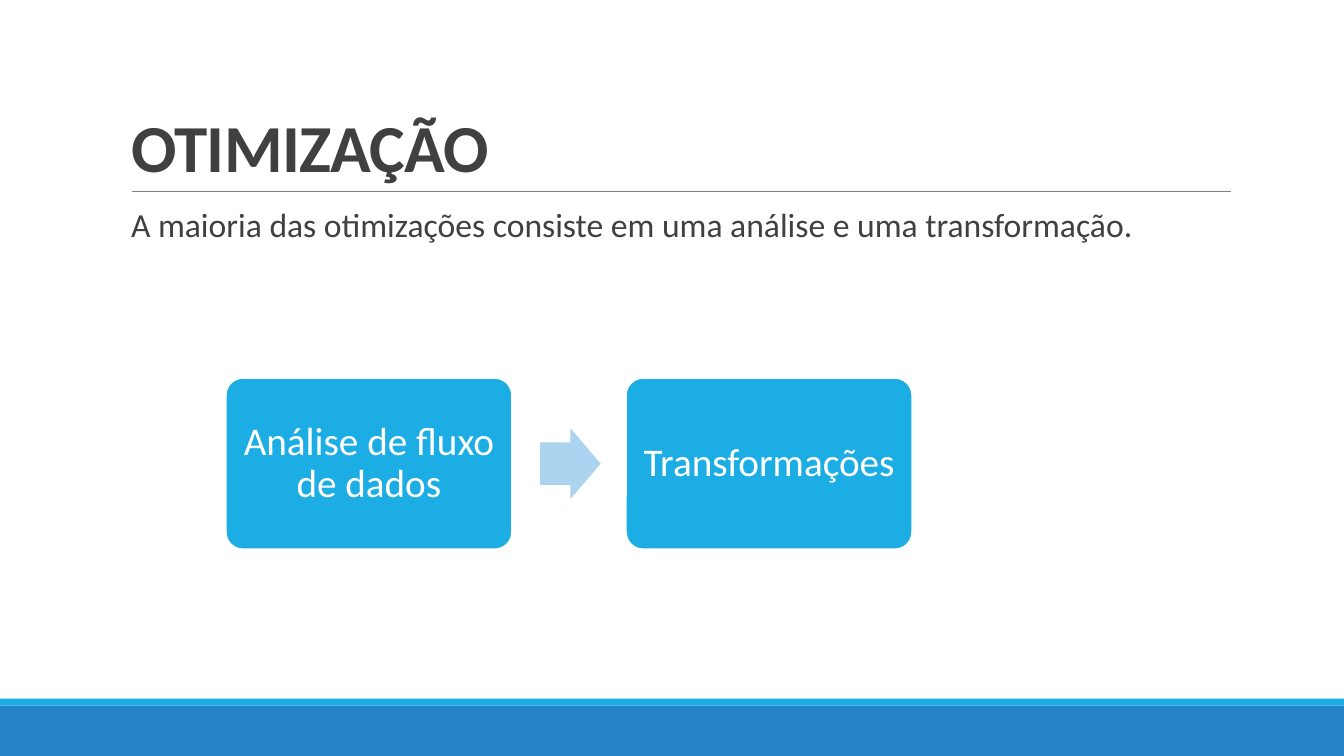
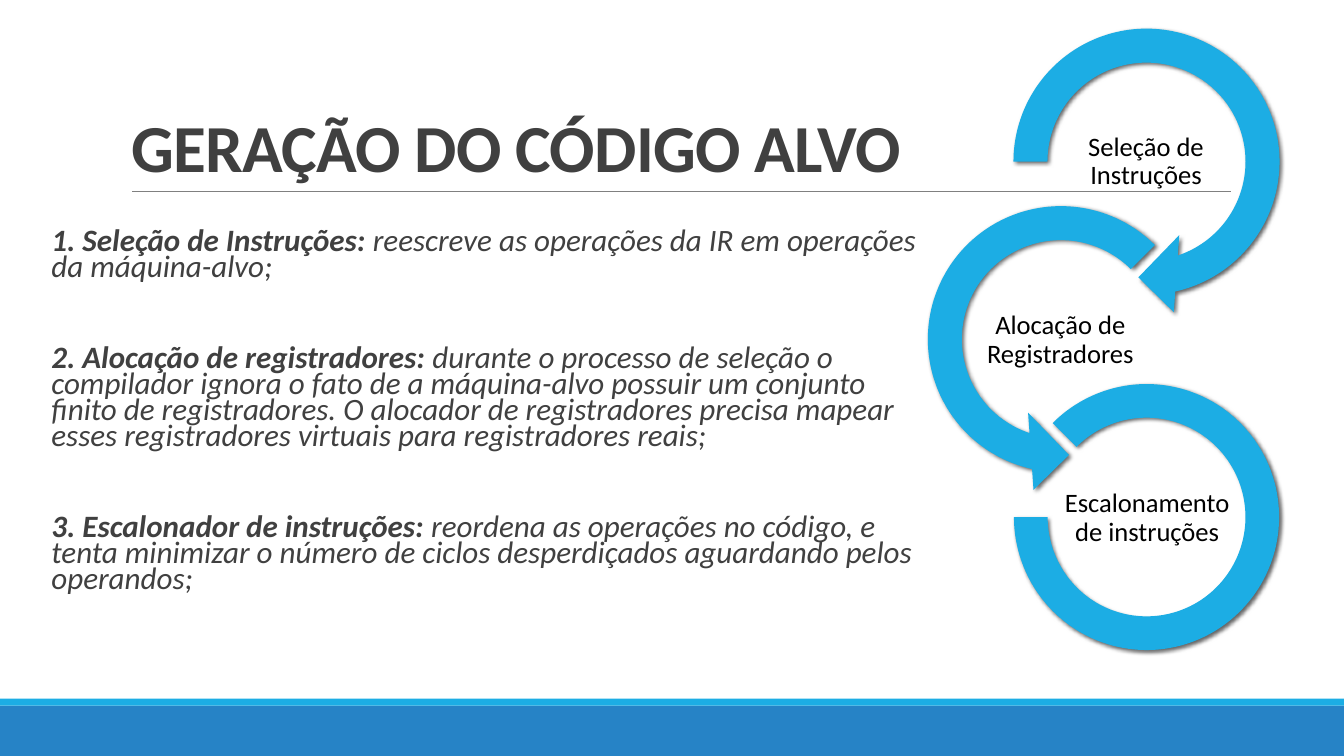
from dataclasses import dataclass
from typing import Any, Optional

from lxml import etree
from pptx import Presentation
from pptx import util as u
from pptx.dml.color import RGBColor
from pptx.enum import shapes, text
from pptx.oxml import ns

BLUE, CYAN, PALE = "2683C6", "1CADE4", "ACD3EF"
INK, GREY, WHITE, BLACK = "404040", "808080", "FFFFFF", "000000"
FONT = "Calibri"
KIND = shapes.MSO_SHAPE
LEFT, MID = text.PP_ALIGN.LEFT, text.PP_ALIGN.CENTER


@dataclass(frozen=True)
class Area:
    x: float
    y: float
    w: float
    h: float

    def pts(self) -> list[u.Length]:
        return [u.Pt(n) for n in (self.x, self.y, self.w, self.h)]


@dataclass(frozen=True)
class Run:
    words: str
    bold: bool = False


@dataclass(frozen=True)
class Ring:
    kind: Any
    area: Area
    turns: tuple[float, ...]
    label: str
    left: float


@dataclass(frozen=True)
class Band:
    area: Area
    fill: str


BANDS = (
    Band(Area(0, 504, 960, 36), BLUE),
    Band(Area(0, 499, 960, 5), CYAN),
)
HEAD = Area(86.4, 22.32, 792, 114.48)
RULE = (94.32, 879.12, 136.8)

STEPS = ("Análise de fluxo de dados", "Transformações")
STEP = Area(161.3, 270, 204.5, 122.4)
STEP_GAP = 285.8
ARROW = Area(385.9, 306, 43.2, 50.4)

RINGS = (
    Ring(KIND.CIRCULAR_ARROW, Area(708.5, 5, 221, 221),
         (0.11, 11.42, 45, 108, 0.125), "Seleção de Instruções", 757.4),
    Ring(KIND.LEFT_CIRCULAR_ARROW, Area(647.3, 131.8, 221, 221),
         (0.11, 11.42, 63, 189, 0.125), "Alocação de Registradores", 696.2),
    Ring(KIND.BLOCK_ARC, Area(724.3, 274.3, 189.4, 190),
         (135, 108, 0.127), "Escalonamento de instruções", 758.2),
)
LABEL_TOP, LABEL_GAP = 85, 127.4

TASKS = (
    (Run("1. Seleção de Instruções: ", True),
     Run("reescreve as operações da IR em operações da máquina-alvo;")),
    (Run("2. Alocação de registradores: ", True),
     Run("durante o processo de seleção o compilador ignora o fato de a "
         "máquina-alvo possuir um conjunto finito de registradores. O alocador "
         "de registradores precisa mapear esses registradores virtuais para "
         "registradores reais;")),
    (Run("3. Escalonador de instruções: ", True),
     Run("reordena as operações no código, e tenta minimizar o número de ciclos "
         "desperdiçados aguardando pelos operandos;")),
)


def tint(code: str) -> RGBColor:
    return RGBColor.from_string(code)


def write(shape: Any, paras: Any, *, size: float, color: str, lead: float = 0.9,
          align: Any = MID, anchor: Any = text.MSO_ANCHOR.MIDDLE,
          pad: tuple[float, float] = (0, 0), before: float = 0, after: float = 0,
          indent: float = 0, slant: bool = False, space: float = 0) -> None:
    frame = shape.text_frame
    frame.word_wrap = True
    frame.auto_size = text.MSO_AUTO_SIZE.NONE
    frame.vertical_anchor = anchor
    frame.margin_left = frame.margin_right = u.Pt(pad[0])
    frame.margin_top = frame.margin_bottom = u.Pt(pad[1])
    for i, runs in enumerate(paras):
        para = frame.add_paragraph() if i else frame.paragraphs[0]
        para.alignment, para.line_spacing = align, lead
        para.space_before, para.space_after = u.Pt(before), u.Pt(after)
        props = para._p.get_or_add_pPr()
        props.set("marL", str(u.Pt(indent)))
        props.set("indent", "0")
        etree.SubElement(props, ns.qn("a:buNone"))
        for item in runs:
            run = para.add_run()
            run.text = item.words
            font = run.font
            font.name, font.size = FONT, u.Pt(size)
            font.bold, font.italic = item.bold, slant
            font.color.rgb = tint(color)
            if space:
                run._r.get_or_add_rPr().set("spc", str(round(space * 100)))


def draw(slide: Any, kind: Any, area: Area, fill: str,
         turns: tuple[float, ...] = (), line: Optional[str] = None) -> Any:
    shape = slide.shapes.add_shape(kind, *area.pts())
    shape.shadow.inherit = False
    shape.fill.solid()
    shape.fill.fore_color.rgb = tint(fill)
    if line:
        shape.line.color.rgb = tint(line)
        shape.line.width = u.Pt(1.25)
    else:
        shape.line.fill.background()
    for i, turn in enumerate(turns):
        shape.adjustments[i] = turn
    return shape


def shade(shape: Any) -> None:
    effect = shape._element.spPr.find(ns.qn("a:effectLst"))
    cast = etree.SubElement(effect, ns.qn("a:outerShdw"), blurRad=str(u.Pt(3)),
                            dist=str(u.Pt(2)), dir="2700000", rotWithShape="0")
    color = etree.SubElement(cast, ns.qn("a:srgbClr"), val=BLACK)
    etree.SubElement(color, ns.qn("a:alpha"), val="60000")


def place(shape: Any, area: Area) -> None:
    shape.left, shape.top, shape.width, shape.height = area.pts()


def start(deck: Any, title: str, area: Area) -> tuple[Any, Any]:
    slide = deck.slides.add_slide(deck.slide_layouts[1])
    for band in BANDS:
        draw(slide, KIND.RECTANGLE, band.area, band.fill)
    x, end, y = (u.Pt(n) for n in RULE)
    rule = slide.shapes.add_connector(shapes.MSO_CONNECTOR.STRAIGHT, x, y, end, y)
    rule.line.color.rgb = tint(GREY)
    rule.line.width = u.Pt(0.5)
    etree.SubElement(rule._element.spPr, ns.qn("a:effectLst"))
    head, body = slide.shapes.title, slide.placeholders[1]
    place(head, HEAD)
    write(head, [[Run(title, True)]], size=48, color=INK, lead=0.85, align=LEFT,
          anchor=text.MSO_ANCHOR.BOTTOM, pad=(7.2, 3.6), space=-0.5)
    place(body, area)
    return slide, body


def fill_list(body: Any, paras: Any, **form: Any) -> None:
    write(body, paras, color=INK, align=LEFT, anchor=text.MSO_ANCHOR.TOP,
          pad=(0, 3.6), after=2, indent=7.2, **form)


def tune(deck: Any) -> None:
    slide, body = start(deck, "OTIMIZAÇÃO", Area(86.4, 145.44, 792, 316.8))
    fill_list(body, [[Run("A maioria das otimizações consiste em uma análise "
                          "e uma transformação.")]], size=24, before=12)
    for i, step in enumerate(STEPS):
        area = Area(STEP.x + i * STEP_GAP, STEP.y, STEP.w, STEP.h)
        box = draw(slide, KIND.ROUNDED_RECTANGLE, area, CYAN, (0.1,), WHITE)
        write(box, [[Run(step)]], size=28, color=WHITE, pad=(8, 8))
    draw(slide, KIND.RIGHT_ARROW, ARROW, PALE, (0.6, 0.5))


def target(deck: Any) -> None:
    slide, body = start(deck, "GERAÇÃO DO CÓDIGO ALVO",
                        Area(29.5, 161.3, 630.7, 294.5))
    fill_list(body, TASKS, size=22.2, lead=0.7, before=44, slant=True)
    for i, ring in enumerate(RINGS):
        shade(draw(slide, ring.kind, ring.area, CYAN, ring.turns))
        area = Area(ring.left, LABEL_TOP + i * LABEL_GAP, 122.4, 61.2)
        label = slide.shapes.add_textbox(*area.pts())
        write(label, [[Run(ring.label)]], size=19, color=BLACK, pad=(0.7, 0.7))


def main() -> None:
    deck = Presentation()
    deck.slide_width, deck.slide_height = u.Pt(960), u.Pt(540)
    tune(deck)
    target(deck)
    deck.save("out.pptx")


main()
